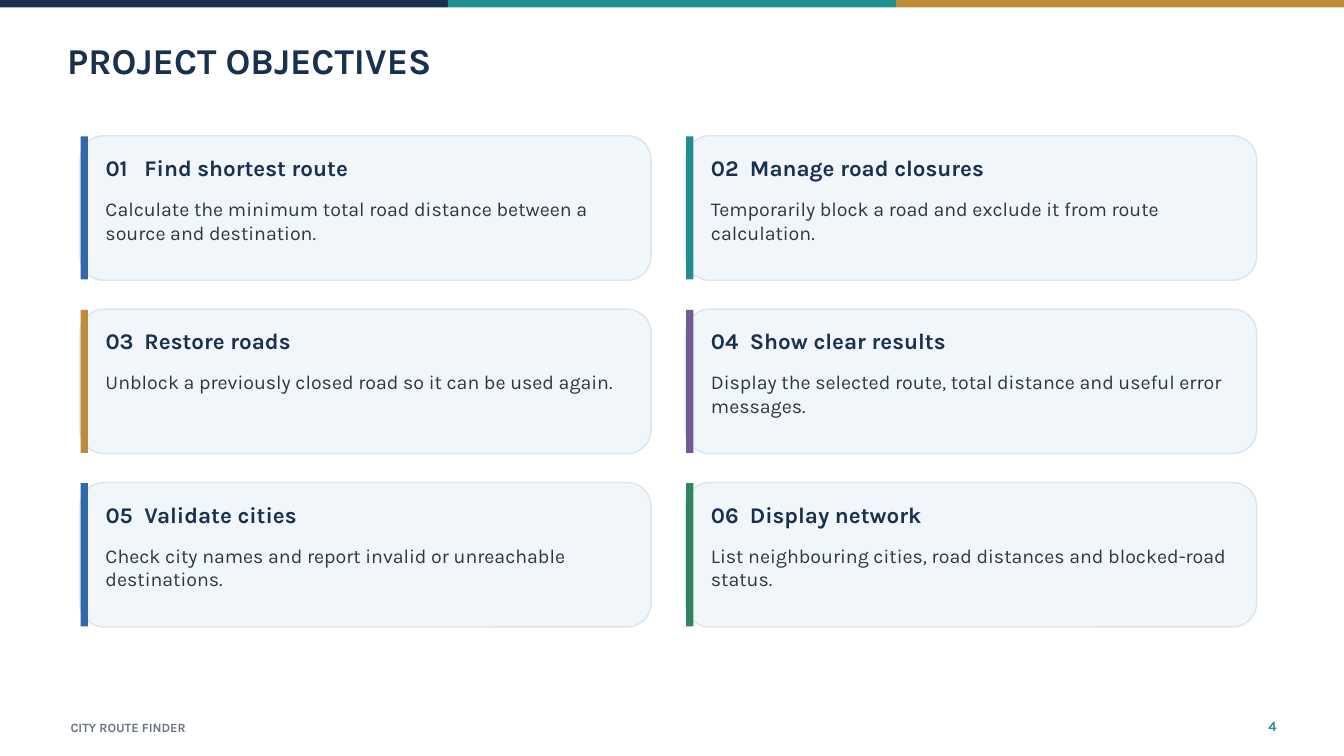
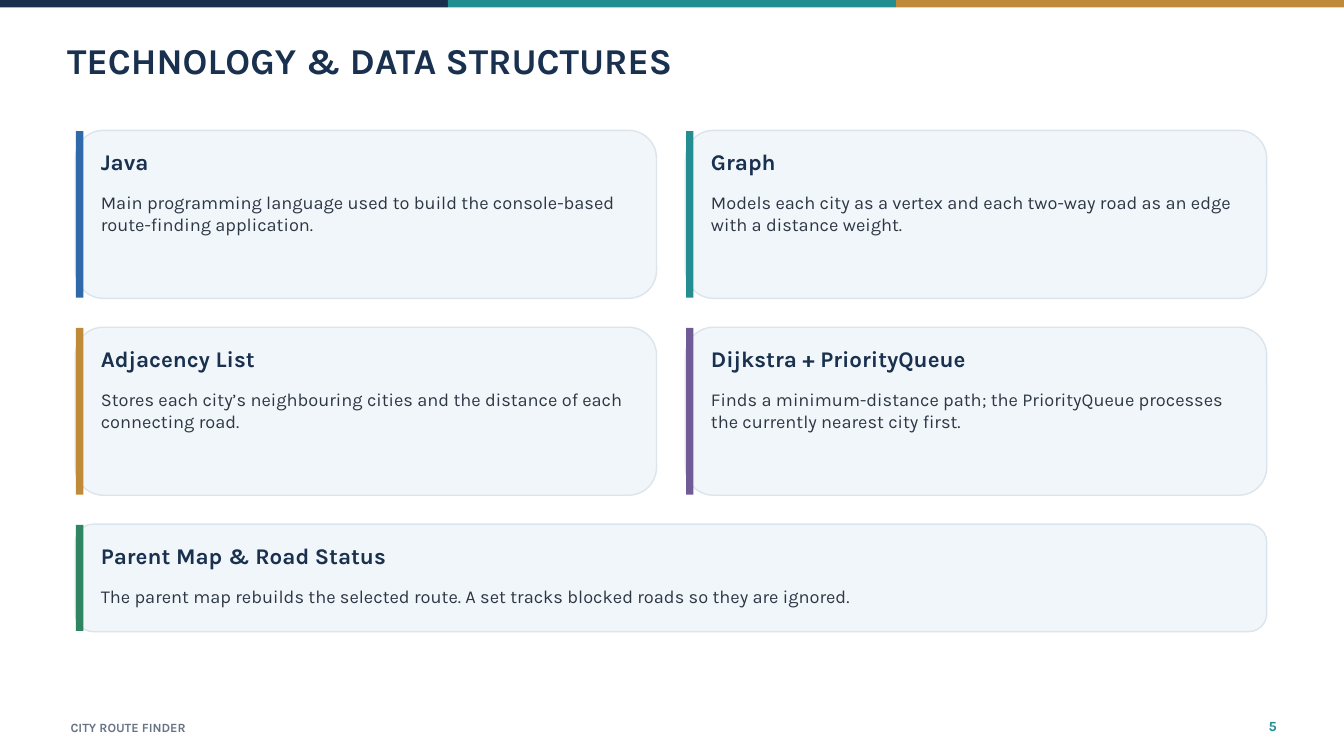
from collections import namedtuple

from pptx import Presentation
from pptx import util as u
from pptx.dml.color import RGBColor
from pptx.enum import shapes, text
from pptx.oxml.ns import qn
from lxml import etree

# The page is a grid of 20 columns by 11.25 rows, each unit one inch.
COLUMNS, ROWS = 20, 11.25
NAVY, TEAL, GOLD = "19304E", "238E91", "BF8B39"
BLUE, PURPLE, GREEN = "3069AA", "705B97", "2F8462"
CARD_FILL, CARD_EDGE, INK, GREY = "F1F6FA", "DCE4EC", "2D3744", "687484"
LINE_RATIO = 1.2
NUMBER_TAB = 0.58

TITLE = dict(size=39, bold=True, color=NAVY)
FOOTER = dict(size=13.5, bold=True, color=GREY)
PAGE_NUMBER = dict(size=15, bold=True, color=TEAL)
HEADING = dict(size=24, bold=True, color=NAVY)
BODY = dict(size=21, bold=False, color=INK)
SMALL_BODY = {**BODY, "size": 19.5}

Box = namedtuple("Box", "left top width height")
Card = namedtuple("Card", "heading body accent")

OBJECTIVES = [
    [Card("01\tFind shortest route",
          "Calculate the minimum total road distance between a source and destination.", BLUE),
     Card("02\tManage road closures",
          "Temporarily block a road and exclude it from route calculation.", TEAL)],
    [Card("03\tRestore roads",
          "Unblock a previously closed road so it can be used again.", GOLD),
     Card("04\tShow clear results",
          "Display the selected route, total distance and useful error messages.", PURPLE)],
    [Card("05\tValidate cities",
          "Check city names and report invalid or unreachable destinations.", BLUE),
     Card("06\tDisplay network",
          "List neighbouring cities, road distances and blocked-road status.", GREEN)],
]

TECHNOLOGIES = [
    [Card("Java",
          "Main programming language used to build the console-based route-finding application.", BLUE),
     Card("Graph",
          "Models each city as a vertex and each two-way road as an edge with a distance weight.", TEAL)],
    [Card("Adjacency List",
          "Stores each city’s neighbouring cities and the distance of each connecting road.", GOLD),
     Card("Dijkstra + PriorityQueue",
          "Finds a minimum-distance path; the PriorityQueue processes the currently nearest city first.",
          PURPLE)],
    [Card("Parent Map & Road Status",
          "The parent map rebuilds the selected route. A set tracks blocked roads so they are ignored.",
          GREEN)],
]


def rgb(hex_string):
    return RGBColor.from_string(hex_string)


def emu(box):
    return [u.Inches(length) for length in box]


def write(frame, words, style, align=text.PP_ALIGN.LEFT):
    """Fill a text frame with one paragraph, without margins."""
    settings = dict(margin_left=0, margin_top=0, margin_right=0, margin_bottom=0,
                    word_wrap=True, auto_size=text.MSO_AUTO_SIZE.NONE,
                    vertical_anchor=text.MSO_ANCHOR.TOP)
    for name, value in settings.items():
        setattr(frame, name, value)
    frame.text = words
    paragraph = frame.paragraphs[0]
    paragraph.alignment = align
    paragraph.line_spacing = u.Pt(style["size"] * LINE_RATIO)
    if "\t" in words:
        tabs = etree.SubElement(paragraph._p.get_or_add_pPr(), qn("a:tabLst"))
        etree.SubElement(tabs, qn("a:tab"), pos=str(u.Inches(NUMBER_TAB)), algn="l")
    font = paragraph.runs[0].font
    for name, value in dict(name="Karla", size=u.Pt(style["size"]), bold=style["bold"]).items():
        setattr(font, name, value)
    font.color.rgb = rgb(style["color"])


def add_label(slide, box, words, style, align=text.PP_ALIGN.LEFT):
    write(slide.shapes.add_textbox(*emu(box)).text_frame, words, style, align)


def add_panel(slide, kind, box, fill, edge=None):
    panel = slide.shapes.add_shape(kind, *emu(box))
    panel.shadow.inherit = False
    panel.fill.solid()
    panel.fill.fore_color.rgb = rgb(fill)
    if edge:
        panel.line.color.rgb = rgb(edge)
        panel.line.width = u.Pt(1.5)
    else:
        panel.line.fill.background()


def add_top_band(slide):
    step = COLUMNS / 3
    for index, color in enumerate((NAVY, TEAL, GOLD)):
        add_panel(slide, shapes.MSO_SHAPE.RECTANGLE, Box(index * step, 0, step, 0.11), color)


def add_title(slide, words):
    title = slide.shapes.title
    title.left, title.top, title.width, title.height = emu(Box(1, 0.57, 17.72, 0.76))
    write(title.text_frame, words, TITLE)


def add_footer(slide, number):
    add_label(slide, Box(1.05, ROWS - 0.53, 11.87, 0.24), "CITY ROUTE FINDER", FOOTER)
    add_label(slide, Box(COLUMNS - 1.54, ROWS - 0.58, 0.54, 0.31), str(number),
              PAGE_NUMBER, text.PP_ALIGN.RIGHT)


def add_card(slide, box, card, body_style):
    left, top, width, height = box
    add_panel(slide, shapes.MSO_SHAPE.ROUNDED_RECTANGLE, box, CARD_FILL, CARD_EDGE)
    add_panel(slide, shapes.MSO_SHAPE.RECTANGLE,
              Box(left + 0.01, top + 0.01, 0.11, height - 0.02), card.accent)
    add_label(slide, Box(left + 0.38, top + 0.27, width - 0.68, 0.46), card.heading, HEADING)
    add_label(slide, Box(left + 0.38, top + 0.91, width - 0.73, height - 1.1),
              card.body, body_style)


def add_card_rows(slide, box, rows, shares, column_gap, body_style, row_gap=0.43):
    """Stack rows of cards; each row's height follows its share of the box."""
    free_height = box.height - row_gap * (len(rows) - 1)
    top = box.top
    for cards, share in zip(rows, shares):
        height = free_height * share / sum(shares)
        width = (box.width - column_gap * (len(cards) - 1)) / len(cards)
        for column, card in enumerate(cards):
            left = box.left + column * (width + column_gap)
            add_card(slide, Box(left, top, width, height), card, body_style)
        top += height + row_gap


def add_card_slide(deck, number, title, **grid):
    slide = deck.slides.add_slide(deck.slide_layouts.get_by_name("Title Only"))
    add_top_band(slide)
    add_title(slide, title)
    add_footer(slide, number)
    add_card_rows(slide, **grid)


def main():
    deck = Presentation()
    deck.slide_width, deck.slide_height = u.Inches(COLUMNS), u.Inches(ROWS)
    add_card_slide(deck, 4, "PROJECT OBJECTIVES", box=Box(1.19, 2.02, 17.51, 7.31),
                   rows=OBJECTIVES, shares=(1, 1, 1), column_gap=0.51, body_style=BODY)
    add_card_slide(deck, 5, "TECHNOLOGY & DATA STRUCTURES", box=Box(1.12, 1.94, 17.73, 7.46),
                   rows=TECHNOLOGIES, shares=(2.5, 2.5, 1.6), column_gap=0.43,
                   body_style=SMALL_BODY)
    deck.save("out.pptx")


if __name__ == "__main__":
    main()
